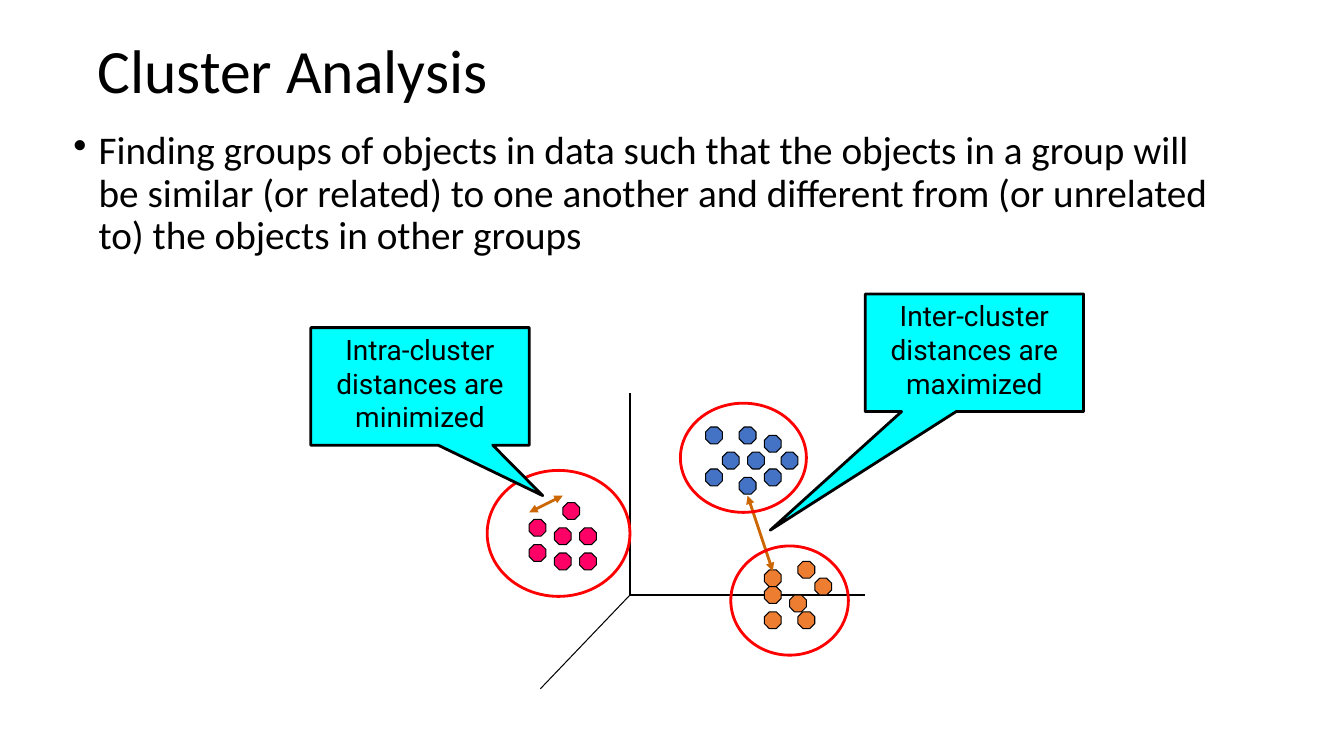
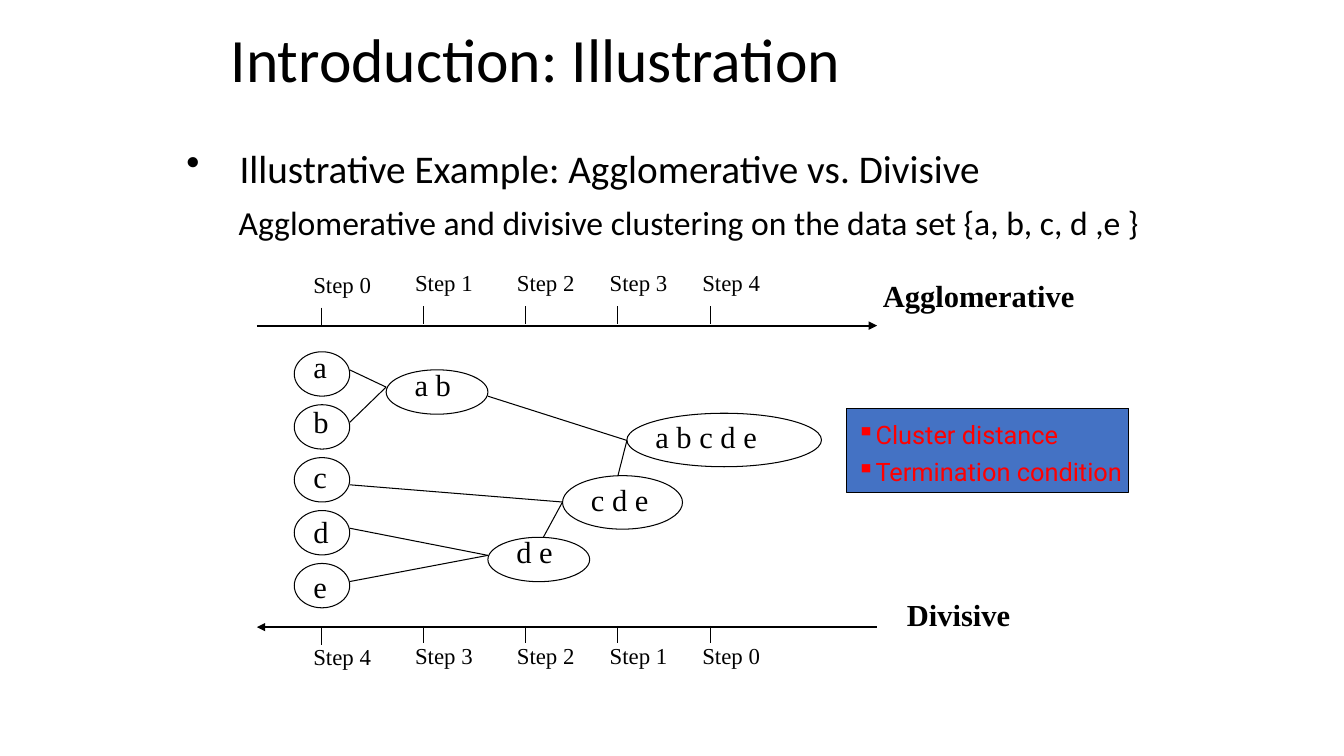
import pptx
import pptx.util
import pptx.dml.color
import pptx.enum.shapes
import pptx.enum.text
import pptx.oxml.ns
import lxml.etree

Pt = pptx.util.Pt
SHAPES = pptx.enum.shapes.MSO_SHAPE
ALIGN = pptx.enum.text.PP_ALIGN
ANCHOR = pptx.enum.text.MSO_ANCHOR

# Shared style
BLACK, RED, BLUE = "000000", "FF0000", "4472C4"
PINK, ORANGE, CYAN, BROWN = "FF0066", "ED7D31", "00FFFF", "CC6600"
BODY_FONT, CALLOUT_FONT, DIAGRAM_FONT = "Calibri", "Roboto", "Times New Roman"
TITLE_SIZE, BODY_SIZE, DETAIL_SIZE = 44, 28, 24
CALLOUT_SIZE, NOTE_SIZE, NODE_SIZE, STEP_SIZE = 20, 18.1, 21.8, 16.3
THIN, MEDIUM, THICK = 0.75, 1.5, 2


def rgb(color):
    return pptx.dml.color.RGBColor.from_string(color)


def add_xml(parent, tag, **attributes):
    name = pptx.oxml.ns.qn(tag)
    return lxml.etree.SubElement(parent, name, attributes)


def style_paragraph(paragraph, text, size, font=BODY_FONT, color=BLACK, bold=False,
                    align=ALIGN.LEFT, spacing=1, bullet=None, indent=0):
    """Fill a paragraph; with a bullet, the indent hangs."""
    properties = paragraph._p.get_or_add_pPr()
    properties.set("marL", str(Pt(indent)))
    properties.set("indent", str(Pt(-indent) if bullet else 0))
    if bullet:
        add_xml(properties, "a:buChar", char=bullet)
    paragraph.text = text
    paragraph.alignment = align
    paragraph.line_spacing = spacing
    paragraph.font.size = Pt(size)
    paragraph.font.name = font
    paragraph.font.bold = bold
    paragraph.font.color.rgb = rgb(color)


def add_text(slide, box, text, size, anchor=ANCHOR.TOP, **style):
    shape = slide.shapes.add_textbox(*map(Pt, box))
    frame = shape.text_frame
    frame.word_wrap = True
    frame.vertical_anchor = anchor
    style_paragraph(frame.paragraphs[0], text, size, **style)
    return frame


def add_title(slide, box, text):
    add_text(slide, box, text, TITLE_SIZE, ANCHOR.MIDDLE, spacing=0.9)


def add_shape(slide, kind, box, fill=None, line=BLACK, width=THIN):
    shape = slide.shapes.add_shape(kind, *map(Pt, box))
    shape.shadow.inherit = False
    if fill:
        shape.fill.solid()
        shape.fill.fore_color.rgb = rgb(fill)
    else:
        shape.fill.background()
    shape.line.color.rgb = rgb(line)
    shape.line.width = Pt(width)
    return shape


def add_line(slide, start, end, color=BLACK, width=THIN, head=False, tail=False):
    """Draw a line; head is the arrowhead at start, tail the one at end."""
    connector = slide.shapes.add_connector(
        pptx.enum.shapes.MSO_CONNECTOR.STRAIGHT, *map(Pt, start + end))
    connector.line.color.rgb = rgb(color)
    connector.line.width = Pt(width)
    outline = connector.line._get_or_add_ln()
    for tag, wanted in (("a:headEnd", head), ("a:tailEnd", tail)):
        if wanted:
            add_xml(outline, tag, type="triangle")
    add_xml(connector._element.spPr, "a:effectLst")


def add_callout(slide, left, top, pointer, text):
    shape = add_shape(slide, SHAPES.RECTANGULAR_CALLOUT, (left, top, 156, 84),
                      CYAN, width=THICK)
    shape.adjustments[0], shape.adjustments[1] = pointer
    frame = shape.text_frame
    frame.word_wrap = True
    frame.vertical_anchor = ANCHOR.TOP
    style_paragraph(frame.paragraphs[0], text, CALLOUT_SIZE, CALLOUT_FONT,
                    align=ALIGN.CENTER)


def add_dots(slide, color, positions):
    for left, top in positions:
        add_shape(slide, SHAPES.OCTAGON, (left, top, 12, 12), color)


def add_node(slide, text, oval, label_shift, label_top):
    left, top, width, height = oval
    add_text(slide, (left + label_shift, label_top, width + 14, 34), text,
             NODE_SIZE, font=DIAGRAM_FONT)
    add_shape(slide, SHAPES.OVAL, oval)


def add_timeline(slide, axis_y, tick_top, label_top, steps, **arrow):
    """Draw an arrow with one tick and one step label per column."""
    add_line(slide, (183.5, axis_y), (626.5, axis_y), width=MEDIUM, **arrow)
    columns = (229.7, 302.4, 375.1, 441.4, 507.6)
    for x, step in zip(columns, steps):
        drop = 1.2 if x == columns[0] else 0
        add_line(slide, (x, tick_top + drop), (x, tick_top + 12.5 + drop))
        add_text(slide, (x - 13, label_top + drop, 66, 27), f"Step {step}",
                 STEP_SIZE, font=DIAGRAM_FONT)


def build_cluster_slide(slide):
    add_title(slide, (62.6, 21.6, 742, 62.6), "Cluster Analysis")
    add_text(slide, (45.4, 90, 845, 132),
             "Finding groups of objects in data such that the objects in a group "
             "will be similar (or related) to one another and different from "
             "(or unrelated to) the objects in other groups",
             BODY_SIZE, spacing=0.9, bullet="•", indent=18)

    # Axes
    origin = (450, 425)
    for end in ((450, 281), (618, 425), (386, 492)):
        add_line(slide, origin, end)

    # Points of the three clusters
    add_dots(slide, BLUE, [(516, 323), (534, 323), (528, 305), (528, 341), (558, 323),
                           (546, 311), (504, 305), (546, 335), (504, 335)])
    add_dots(slide, PINK, [(378, 371), (396, 377), (396, 395), (414, 377),
                           (402, 359), (414, 395), (378, 389)])
    add_dots(slide, ORANGE, [(546, 407), (582, 413), (564, 425), (546, 437),
                             (570, 437), (546, 419), (570, 401)])

    # Distances, callouts and cluster rings
    add_line(slide, (552, 408), (534, 354), BROWN, THICK, head=True, tail=True)
    add_callout(slide, 618, 210, (-0.935, 1.509),
                "Inter-cluster distances are maximized")
    for ring in ((348, 336, 102, 90), (486, 288, 90, 78), (522, 390, 84, 78)):
        add_shape(slide, SHAPES.OVAL, ring, line=RED, width=THICK)
    add_line(slide, (378, 366), (402, 354), BROWN, THICK, head=True, tail=True)
    add_callout(slide, 222, 234, (0.562, 0.929),
                "Intra-cluster distances are minimized")


def build_illustration_slide(slide):
    add_title(slide, (157.7, 0, 736, 90), "Introduction: Illustration")
    body = add_text(slide, (126, 96, 713.5, 90),
                    "Illustrative Example: Agglomerative vs. Divisive",
                    BODY_SIZE, spacing=1.1, bullet="•", indent=38)
    detail = body.add_paragraph()
    style_paragraph(detail,
                    "Agglomerative and divisive clustering on the data set {a, b, c, d ,e }",
                    DETAIL_SIZE, spacing=1.1, indent=37.4)
    detail.space_before = Pt(5)

    # Note box
    note = add_shape(slide, SHAPES.RECTANGLE, (604.8, 291.6, 201.6, 60), BLUE)
    frame = note.text_frame
    frame.word_wrap = True
    frame.vertical_anchor = ANCHOR.TOP
    frame.margin_right = 0
    for index, text in enumerate(("Cluster distance", "Termination condition")):
        paragraph = frame.add_paragraph() if index else frame.paragraphs[0]
        style_paragraph(paragraph, text, NOTE_SIZE, CALLOUT_FONT, RED,
                        spacing=1.2, bullet="▪", indent=11)

    # Timelines in both directions
    add_timeline(slide, 232.6, 218.6, 188.6, range(5), tail=True)
    add_timeline(slide, 448, 447, 454.5, reversed(range(5)), head=True)
    for box, text in (((622.8, 194.4, 152.6, 34), "Agglomerative"),
                      ((640, 422, 89.5, 34), "Divisive")):
        add_text(slide, box, text, NODE_SIZE, font=DIAGRAM_FONT, bold=True,
                 align=ALIGN.CENTER)

    # Single objects, then merged clusters
    for row, letter in enumerate("abcde"):
        oval = (210.2, 251.3 + 37.8 * row, 39.6, 31.7)
        add_node(slide, letter, oval, 6.5, 244.8 + 39.4 * row)
    for text, oval, label_top in (
            ("a b", (275.8, 264.2, 72.7, 31.7), 257.8),
            ("d e", (348.5, 383.8, 72.7, 31.7), 377.3),
            ("c d e", (401.8, 339.8, 85.7, 38.2), 339.8),
            ("a b c d e", (447.8, 295.2, 139, 38.2), 295.2)):
        add_node(slide, text, oval, 13.2, label_top)

    # Links, grouped by the cluster they lead to
    for end, starts in (
            ((275.8, 276.5), [(249.8, 264.2), (249.8, 301.7)]),
            ((348.5, 396.7), [(249.8, 377.3), (249.8, 415.4)]),
            ((401.8, 358.6), [(249.8, 346.3), (388.1, 383.8)]),
            ((447.8, 314.6), [(348.5, 283), (441.4, 339.8)])):
        for start in starts:
            add_line(slide, start, end)


def main():
    presentation = pptx.Presentation()
    presentation.slide_width, presentation.slide_height = Pt(960), Pt(540)
    blank = presentation.slide_layouts[6]
    for build in (build_cluster_slide, build_illustration_slide):
        build(presentation.slides.add_slide(blank))
    presentation.save("out.pptx")


if __name__ == "__main__":
    main()
